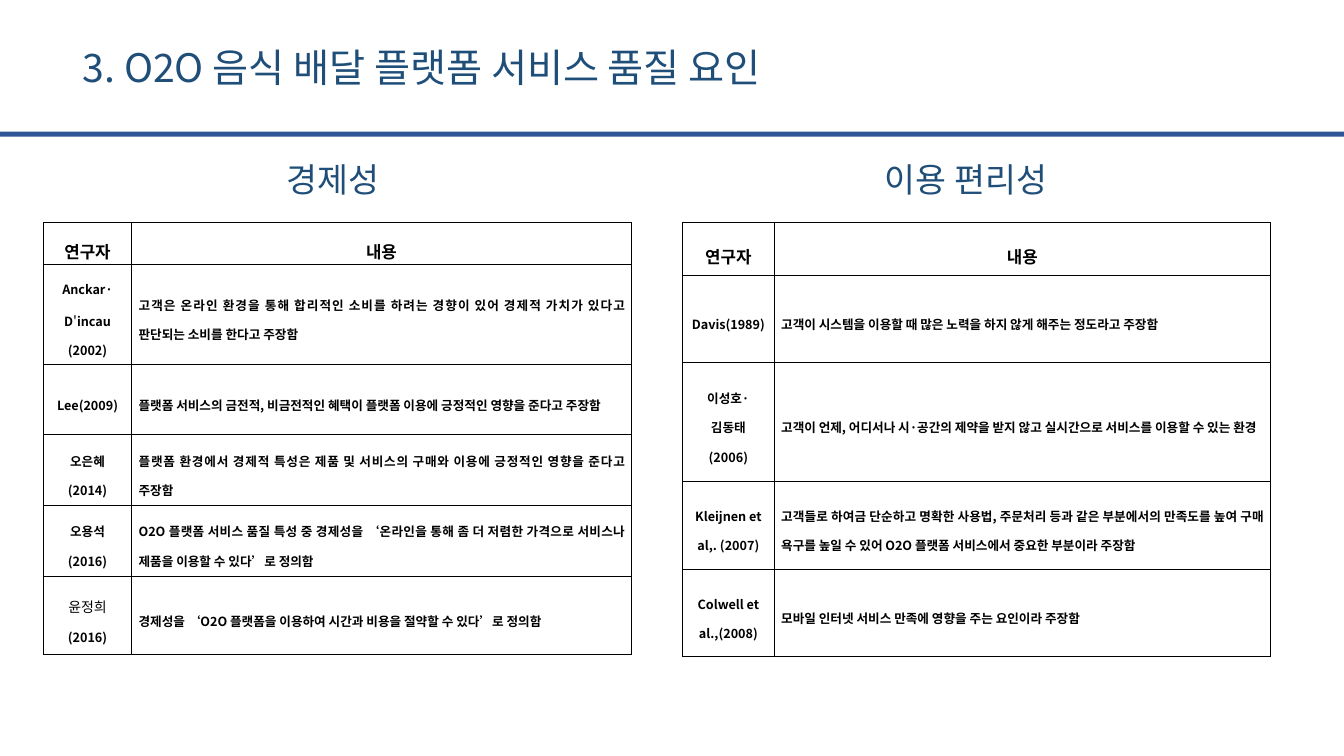
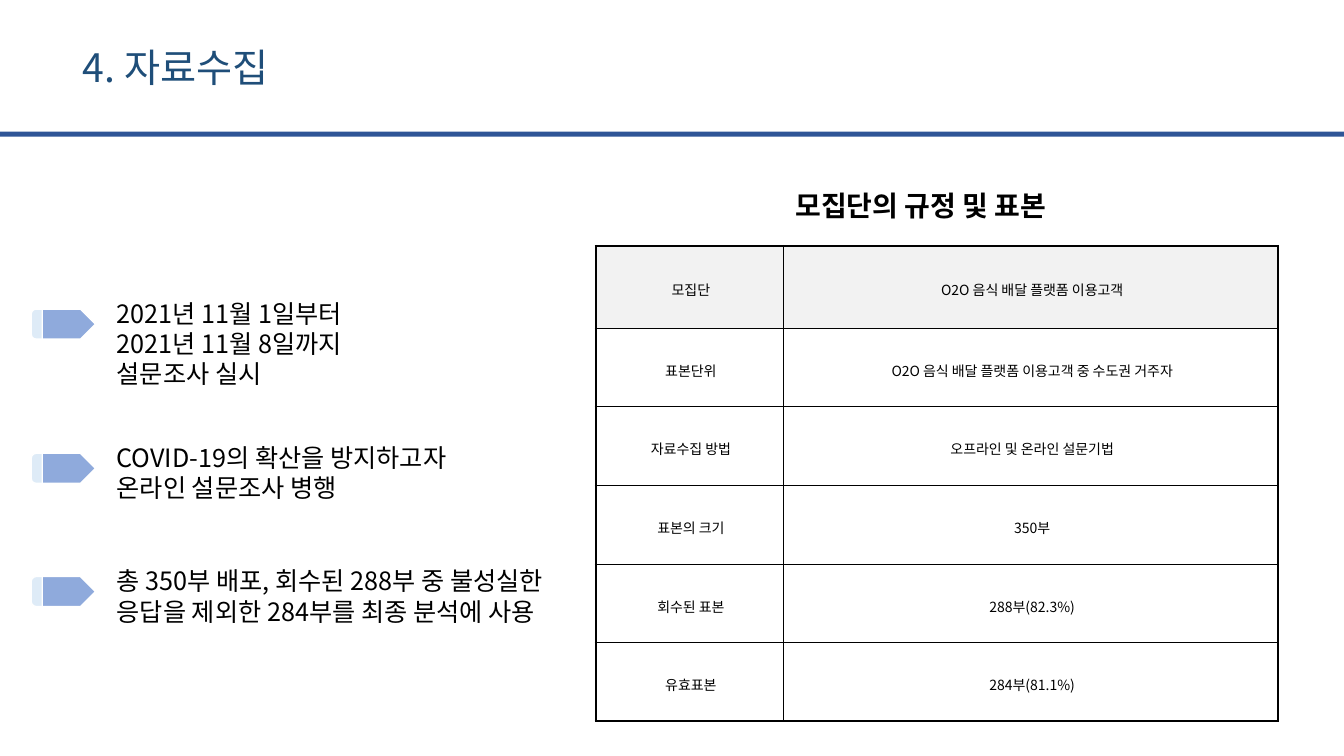
from dataclasses import dataclass

from lxml import etree
from pptx import Presentation
from pptx.dml.color import RGBColor
from pptx.enum import shapes, text
from pptx.oxml import ns
from pptx.util import Pt


@dataclass(frozen=True)
class Theme:
    font: str = "Noto Sans CJK KR"
    navy: str = "1F4E79"
    band: str = "2F5597"
    arrow: str = "8FAADC"
    pale: str = "DEEBF7"
    gray: str = "F2F2F2"
    white: str = "FFFFFF"
    black: str = "000000"
    title: int = 28
    sub: int = 24
    head: int = 20
    body: int = 18
    label: int = 12
    cell: int = 10
    small: int = 9
    thin: float = 0.28
    thick: float = 1.7


T = Theme()
ALIGN = text.PP_ALIGN
SHAPE = shapes.MSO_SHAPE


def write(frame, words, size, color=T.black, bold=False, align=None, space=None):
    """One paragraph per line; a part between bars is plain, at cell size."""
    for i, line in enumerate(words.split("\n")):
        par = frame.paragraphs[0] if i == 0 else frame.add_paragraph()
        par.alignment, par.line_spacing = align, space
        for j, part in enumerate(line.split("|")):
            if not part:
                continue
            run = par.add_run()
            run.text = part
            font = run.font
            font.name = T.font
            font.size = Pt(T.cell if j % 2 else size)
            font.bold = bold and j % 2 == 0
            font.color.rgb = RGBColor.from_string(color)
            east = etree.SubElement(run._r.get_or_add_rPr(), ns.qn("a:ea"))
            east.set("typeface", T.font)


def grid(slide, left, top, cols, rows, data, style, shade, frame, inset=5):
    """Bordered table; style(row, col) gives the text settings of a cell."""
    table = slide.shapes.add_table(len(rows), len(cols), Pt(left), Pt(top),
                                   Pt(sum(cols)), Pt(sum(rows))).table
    table.first_row = table.horz_banding = False
    for col, wide in zip(table.columns, cols):
        col.width = Pt(wide)
    for row, high in zip(table.rows, rows):
        row.height = Pt(high)
    for r, line in enumerate(data):
        for c, words in enumerate(line):
            cell = table.cell(r, c)
            cell.vertical_anchor = text.MSO_ANCHOR.MIDDLE
            cell.margin_left, cell.margin_right = Pt(inset), Pt(5)
            cell.margin_top = cell.margin_bottom = Pt(1.4)
            cell.fill.solid()
            cell.fill.fore_color.rgb = RGBColor.from_string(T.white if r else shade)
            write(cell.text_frame, words, **style(r, c))
            edges = {"L": c == 0, "R": c == len(cols) - 1,
                     "T": r == 0, "B": r == len(rows) - 1}
            for i, (side, outer) in enumerate(edges.items()):
                line = etree.Element(ns.qn("a:ln" + side))
                line.set("w", str(int(Pt(frame if outer else T.thin))))
                paint = etree.SubElement(line, ns.qn("a:solidFill"))
                etree.SubElement(paint, ns.qn("a:srgbClr")).set("val", T.black)
                cell._tc.get_or_add_tcPr().insert(i, line)


deck = Presentation()
deck.slide_width, deck.slide_height = Pt(960), Pt(540)

# Title and band on every slide
pages = []
for name, wide in (("3. O2O 음식 배달 플랫폼 서비스 품질 요인", 562.5), ("4. 자료수집", 162.5)):
    page = deck.slides.add_slide(deck.slide_layouts[6])
    band = page.shapes.add_shape(SHAPE.RECTANGLE, 0, Pt(94), Pt(960), Pt(3.6))
    band.shadow.inherit = False
    band.fill.solid()
    band.fill.fore_color.rgb = RGBColor.from_string(T.band)
    band.line.fill.background()
    box = page.shapes.add_textbox(Pt(52), Pt(27.5), Pt(wide), Pt(41))
    box.text_frame.word_wrap = False
    write(box.text_frame, name, T.title, T.navy)
    pages.append(page)
factors, survey = pages

# Quality factors: two headed tables
HEAD = ("연구자", "내용")
price = [
    HEAD,
    ("Anckar·\nD|'|incau\n(2002)",
     "고객은 온라인 환경을 통해 합리적인 소비를 하려는 경향이 있어 경제적 가치가 있다고 판단되는 소비를 한다고 주장함"),
    ("Lee(2009)",
     "플랫폼 서비스의 금전적, 비금전적인 혜택이 플랫폼 이용에 긍정적인 영향을 준다고 주장함"),
    ("오은혜\n(2014)",
     "플랫폼 환경에서 경제적 특성은 제품 및 서비스의 구매와 이용에 긍정적인 영향을 준다고 주장함"),
    ("오용석\n(2016)",
     "O2O 플랫폼 서비스 품질 특성 중 경제성을 ‘온라인을 통해 좀 더 저렴한 가격으로 서비스나 제품을 이용할 수 있다’로 정의함"),
    ("|윤정희|\n(2016)",
     "경제성을 ‘O2O 플랫폼을 이용하여 시간과 비용을 절약할 수 있다’로 정의함"),
]
ease = [
    HEAD,
    ("Davis(1989)", "고객이 시스템을 이용할 때 많은 노력을 하지 않게 해주는 정도라고 주장함"),
    ("이성호·\n김동태\n(2006)",
     "고객이 언제, 어디서나 시·공간의 제약을 받지 않고 실시간으로 서비스를 이용할 수 있는 환경"),
    ("Kleijnen et al,. (2007)",
     "고객들로 하여금 단순하고 명확한 사용법, 주문처리 등과 같은 부분에서의 만족도를 높여 구매 욕구를 높일 수 있어 O2O 플랫폼 서비스에서 중요한 부분이라 주장함"),
    ("Colwell et al.,(2008)", "모바일 인터넷 서비스 만족에 영향을 주는 요인이라 주장함"),
]
for name, x, wide, left, cols, rows, data in (
    ("경제성", 197.5, 87, 31, (63, 357), (30, 71, 50.5, 50.5, 50.5, 56), price),
    ("이용 편리성", 625, 144, 487.5, (65.5, 354.5), (37.5, 62.5, 85, 62.5, 62.5), ease),
):
    box = factors.shapes.add_textbox(Pt(x), Pt(110), Pt(wide), Pt(36))
    box.text_frame.word_wrap = False
    write(box.text_frame, name, T.sub, T.navy)
    grid(factors, left, 159, cols, rows, data,
         lambda r, c: dict(size=T.small if r else T.label, bold=True, space=1.6,
                           align=ALIGN.JUSTIFY if r and c else ALIGN.CENTER),
         T.white, T.thin)

# Data collection: sample table
sample = [
    ("모집단", "O2O 음식 배달 플랫폼 이용고객"),
    ("표본단위", "O2O 음식 배달 플랫폼 이용고객 중 수도권 거주자"),
    ("자료수집 방법", "오프라인 및 온라인 설문기법"),
    ("표본의 크기", "350부"),
    ("회수된 표본", "288부(82.3%)"),
    ("유효표본", "284부(81.1%)"),
]
grid(survey, 425.5, 175.7, (134, 353.5), [58.5] + [56.2] * 5, sample,
     lambda r, c: dict(size=T.cell, align=ALIGN.CENTER, space=1.3),
     T.gray, T.thick, inset=7)

# Data collection: notes with arrow markers
for top, high, words in (
    (209.5, 72.7, "2021년 11월 1일부터\n2021년 11월 8일까지\n설문조사 실시"),
    (312.5, 51, "COVID-19의 확산을 방지하고자\n온라인 설문조사 병행"),
    (400.5, 72.7, "총 350부 배포, 회수된 288부 중 불성실한 응답을 제외한 284부를 최종 분석에 사용"),
):
    mark = survey.shapes.add_group_shape()
    for kind, x, wide, color in (
        (SHAPE.ROUNDED_RECTANGLE, 22.3, 24.5, T.pale),
        (SHAPE.PENTAGON, 30.2, 38, T.arrow),
    ):
        part = mark.shapes.add_shape(kind, Pt(x), Pt(top + 11.3), Pt(wide), Pt(21.5))
        part.shadow.inherit = False
        part.fill.solid()
        part.fill.fore_color.rgb = RGBColor.from_string(color)
        part.line.color.rgb = RGBColor.from_string(T.white)
        part.line.width = Pt(1)
    box = survey.shapes.add_textbox(Pt(76.3), Pt(top), Pt(324), Pt(high))
    box.text_frame.word_wrap = True
    write(box.text_frame, words, T.body)

box = survey.shapes.add_textbox(Pt(551), Pt(111.6), Pt(258.5), Pt(45.4))
box.text_frame.word_wrap = True
write(box.text_frame, "모집단의 규정 및 표본", T.head, bold=True, align=ALIGN.JUSTIFY, space=1.8)
box.text_frame.paragraphs[0]._p.get_or_add_pPr().set("indent", str(int(Pt(10))))

deck.save("out.pptx")
